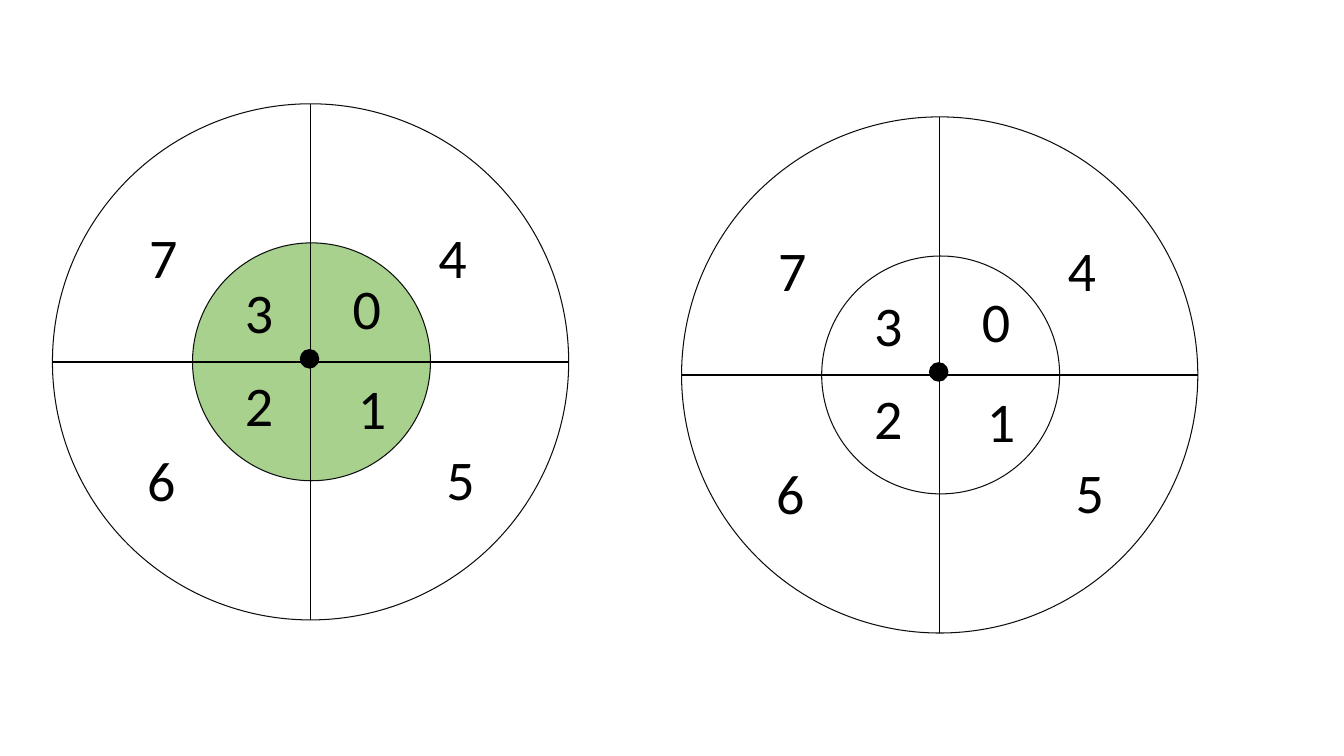
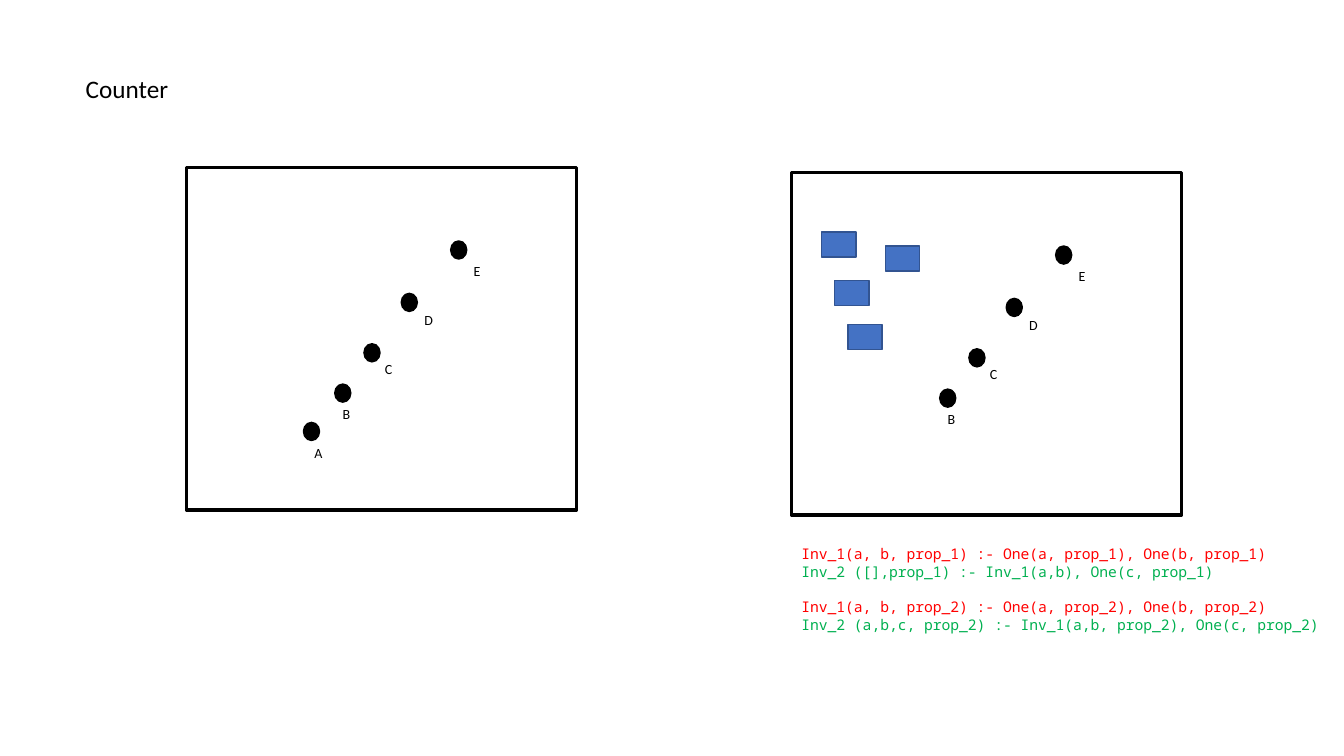
from pptx import Presentation
from pptx import util as u
from pptx.dml.color import RGBColor
from pptx.enum import shapes as kinds
from pptx.enum import text as t
from lxml import etree

PX = 9144  # 100 px to the inch

BLACK = RGBColor(0x00, 0x00, 0x00)
INK = RGBColor(0x0D, 0x0D, 0x0D)
WHITE = RGBColor(0xFF, 0xFF, 0xFF)
LEAF = RGBColor(0xA9, 0xD1, 0x8E)
BLUE = RGBColor(0x44, 0x72, 0xC4)
DEEP_BLUE = RGBColor(0x32, 0x54, 0x91)
RED = RGBColor(0xFF, 0x00, 0x00)
GREEN = RGBColor(0x00, 0xB0, 0x50)

SANS = "Calibri"
MONO = "Noto Sans Mono"
OVAL = kinds.MSO_SHAPE.OVAL
RECTANGLE = kinds.MSO_SHAPE.RECTANGLE
DRAWING_NS = "http://schemas.openxmlformats.org/drawingml/2006/main"

# Offsets from the top left corner of a wheel
WHEEL_SIZE = 512
SECTORS = {
    "0": (288, 163), "1": (293, 263), "2": (181, 260), "3": (181, 167),
    "4": (373, 113), "5": (381, 333), "6": (84, 334), "7": (86, 113),
}

# Offsets of dot and label from the top left corner of a panel
POINTS = {
    "A": ((116, 253), (117, 270)),
    "B": ((147, 215), (145, 231)),
    "C": ((176, 175), (187, 187)),
    "D": ((213, 125), (226, 138)),
    "E": ((262, 73), (275, 89)),
}

BLOCKS = [(815, 230), (828, 278), (878, 244), (841, 322)]

RULES = [
    ("Inv_1(a, b, prop_1) :- One(a, prop_1), One(b, prop_1)", RED, 0),
    ("Inv_2 ([],prop_1) :- Inv_1(a,b), One(c, prop_1)", GREEN, 0),
    ("Inv_1(a, b, prop_2) :- One(a, prop_2), One(b, prop_2)", RED, 12.5),
    ("Inv_2 (a,b,c, prop_2) :- Inv_1(a,b, prop_2), One(c, prop_2)", GREEN, 0),
]


def px(*lengths):
    return [u.Emu(length * PX) for length in lengths]


def add_figure(shapes, kind, x, y, width, height, fill=None, line=BLACK, weight=1):
    figure = shapes.add_shape(kind, *px(x, y, width, height))
    figure.shadow.inherit = False
    if fill is None:
        figure.fill.background()
    else:
        figure.fill.solid()
        figure.fill.fore_color.rgb = fill
    figure.line.color.rgb = line
    figure.line.width = u.Pt(weight)


def add_line(shapes, x1, y1, x2, y2):
    line = shapes.add_connector(kinds.MSO_CONNECTOR.STRAIGHT, *px(x1, y1, x2, y2))
    line.line.color.rgb = BLACK
    line.line.width = u.Pt(1)
    etree.SubElement(line._element.spPr, f"{{{DRAWING_NS}}}effectLst")


def write(paragraph, content, size, font=SANS, color=BLACK, before=0):
    paragraph.text = content
    paragraph.alignment = t.PP_ALIGN.LEFT
    if before:
        paragraph.space_before = u.Pt(before)
    paragraph.font.name = font
    paragraph.font.size = u.Pt(size)
    paragraph.font.color.rgb = color


def add_frame(shapes, x, y, width, height):
    frame = shapes.add_textbox(*px(x, y, width, height)).text_frame
    frame.word_wrap = True
    return frame


def add_label(shapes, content, x, y, width, height, **style):
    write(add_frame(shapes, x, y, width, height).paragraphs[0], content, **style)


def add_wheel(slide, left, top, core):
    """Two rings cut into eight numbered sectors."""
    shapes = slide.shapes.add_group_shape().shapes
    middle = WHEEL_SIZE // 2
    add_figure(shapes, OVAL, left + 139, top + 138, 236, 236, fill=core, line=INK, weight=0.75)
    add_figure(shapes, OVAL, left, top, WHEEL_SIZE, WHEEL_SIZE, line=INK, weight=0.75)
    add_line(shapes, left, top + middle, left + WHEEL_SIZE, top + middle)
    add_line(shapes, left + middle, top + WHEEL_SIZE, left + middle, top)
    for digit, (dx, dy) in SECTORS.items():
        add_label(shapes, digit, left + dx, top + dy, 49, 77, size=40)
    add_figure(shapes, OVAL, left + 246, top + 244, 18, 18, fill=BLACK)


def add_panel(slide, left, top, names):
    """A framed field with the named points."""
    shapes = slide.shapes.add_group_shape().shapes
    for name in names:
        (dot_x, dot_y), (label_x, label_y) = POINTS[name]
        add_figure(shapes, OVAL, left + dot_x, top + dot_y, 16, 18, fill=BLACK)
        add_label(shapes, name, left + label_x, top + label_y, 37, 38, size=10)
    add_figure(shapes, RECTANGLE, left, top, 387, 340, weight=2.25)


def set_title(slide, content):
    title = slide.shapes.title
    title.left, title.top, title.width, title.height = px(75, 68, 120, 40)
    frame = title.text_frame
    frame.vertical_anchor = t.MSO_ANCHOR.TOP
    frame.auto_size = t.MSO_AUTO_SIZE.NONE
    write(frame.paragraphs[0], content, size=18)


def add_rules(slide):
    frame = add_frame(slide.shapes, 785, 536, 548, 134)
    for index, (rule, color, before) in enumerate(RULES):
        paragraph = frame.add_paragraph() if index else frame.paragraphs[0]
        write(paragraph, rule, size=10.5, font=MONO, color=color, before=before)


def main():
    deck = Presentation()
    deck.slide_width, deck.slide_height = px(1333, 750)
    title_only, blank = deck.slide_layouts[5], deck.slide_layouts[6]

    wheels = deck.slides.add_slide(blank)
    add_wheel(wheels, 52, 103, core=LEAF)
    add_wheel(wheels, 676, 116, core=WHITE)

    counter = deck.slides.add_slide(title_only)
    set_title(counter, "Counter")
    add_rules(counter)
    add_panel(counter, 185, 166, "ABCDE")
    add_panel(counter, 785, 171, "BCDE")
    for x, y in BLOCKS:
        add_figure(counter.shapes, RECTANGLE, x, y, 34, 25, fill=BLUE, line=DEEP_BLUE)

    deck.save("out.pptx")


if __name__ == "__main__":
    main()
